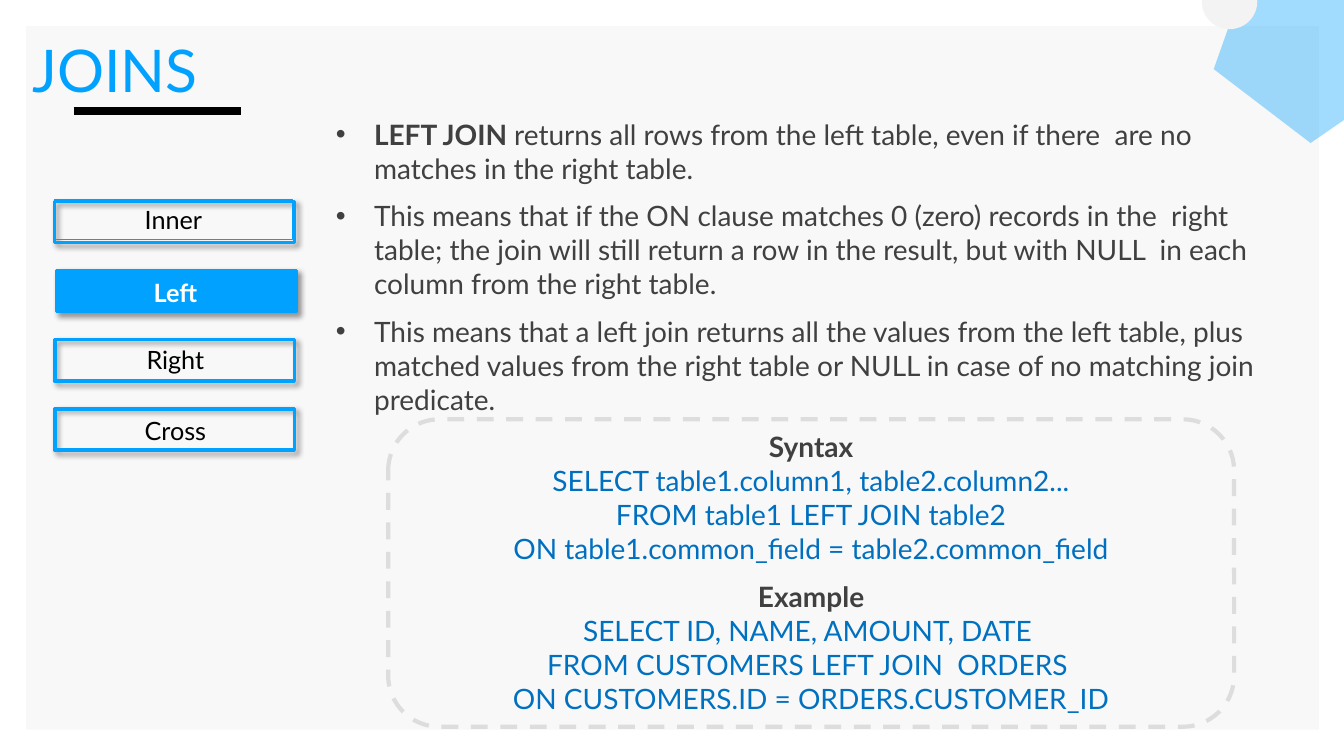
import pptx
import pptx.util
import pptx.dml.color
import pptx.enum.dml
import pptx.enum.shapes
import pptx.enum.text
import pptx.oxml
import pptx.oxml.ns
from lxml import etree
from dataclasses import dataclass

Inches = pptx.util.Inches
Pt = pptx.util.Pt
RGB = pptx.dml.color.RGBColor.from_string
SHAPE = pptx.enum.shapes.MSO_SHAPE
ALIGN = pptx.enum.text.PP_ALIGN
ANCHOR = pptx.enum.text.MSO_ANCHOR
qn = pptx.oxml.ns.qn


@dataclass(frozen=True)
class Theme:
    font: str = "Lato"
    accent: str = "00A1FF"
    panel: str = "F8F8F8"
    circle: str = "F3F3F3"
    body: str = "404040"
    syntax: str = "006FC0"
    example: str = "0070C0"
    dash: str = "DDDDDD"
    black: str = "000000"
    white: str = "FFFFFF"
    title_size: int = 42
    body_size: int = 20
    button_size: int = 18


theme = Theme()


def add_text(p, text, size=theme.body_size, color=theme.body, bold=False,
             align=ALIGN.LEFT, before=0, spacing=None, bullet=False):
    """Append a run to a paragraph and format both."""
    p.alignment = align
    p.space_before = Pt(before)
    if spacing:
        p.line_spacing = spacing
    if bullet:
        pPr = p._p.get_or_add_pPr()
        pPr.set("marL", str(Inches(0.39)))
        pPr.set("indent", str(Inches(-0.38)))
        clr = etree.SubElement(pPr, qn("a:buClr"))
        etree.SubElement(clr, qn("a:srgbClr"), val=color)
        etree.SubElement(pPr, qn("a:buFont"), typeface="Arial")
        etree.SubElement(pPr, qn("a:buChar"), char="•")
    r = p.add_run()
    r.text = text
    r.font.name = theme.font
    r.font.size = Pt(size)
    r.font.bold = bold
    r.font.color.rgb = RGB(color)


def add_box(kind, left, top, width, height, fill=None, line=None, weight=1):
    """Add a preset shape without shadow."""
    sp = slide.shapes.add_shape(kind, Inches(left), Inches(top), Inches(width), Inches(height))
    if fill:
        sp.fill.solid()
        sp.fill.fore_color.rgb = RGB(fill)
    else:
        sp.fill.background()
    if line:
        sp.line.color.rgb = RGB(line)
        sp.line.width = Pt(weight)
    else:
        sp.line.fill.background()
    sp.shadow.inherit = False
    return sp


prs = pptx.Presentation()
prs.slide_width = Inches(13.33)
prs.slide_height = Inches(7.5)
slide = prs.slides.add_slide(prs.slide_layouts[6])

# Background panel
add_box(SHAPE.RECTANGLE, 0.26, 0.26, 12.82, 6.98, fill=theme.panel)

# Title and body text boxes
frames = []
for left, top, width, height in ((0.32, 0.32, 13.01, 0.55), (3.32, 1.15, 9.45, 5.73)):
    sp = slide.shapes.add_textbox(Inches(left), Inches(top), Inches(width), Inches(height))
    tf = sp.text_frame
    tf.word_wrap = True
    tf.margin_left = tf.margin_right = tf.margin_bottom = 0
    tf.margin_top = Inches(0.01)
    frames.append(tf)
title, body = frames
add_text(title.paragraphs[0], "JOINS", size=theme.title_size, color=theme.accent)

# Title underline
rule = slide.shapes.add_connector(pptx.enum.shapes.MSO_CONNECTOR.STRAIGHT,
                                  Inches(0.73), Inches(1.1), Inches(2.39), Inches(1.1))
rule.line.color.rgb = RGB(theme.black)
rule.line.width = Pt(6)
etree.SubElement(rule._element.spPr, qn("a:effectLst"))

# Corner decoration
pentagon = add_box(SHAPE.REGULAR_PENTAGON, 11.99, -0.62, 1.96, 1.86, fill=theme.accent)
pentagon.rotation = 325.4
color = pentagon._element.spPr.find(".//" + qn("a:srgbClr"))
etree.SubElement(color, qn("a:alpha"), val="37000")
circle = add_box(SHAPE.OVAL, 11.92, -0.26, 0.55, 0.55, fill=theme.circle)
circle.rotation = 8.3

# Bullets: each is a bold lead and the rest
bullets = [
    ("LEFT JOIN ", "returns all rows from the left table, even if there  are no matches "
     "in the right table."),
    ("", "This means that if the ON clause matches 0 (zero) records in the  right table; "
     "the join will still return a row in the result, but with NULL  in each column "
     "from the right table."),
    ("", "This means that a left join returns all the values from the left table, plus "
     "matched values from the right table or NULL in case of no matching join predicate."),
]
for i, (lead, text) in enumerate(bullets):
    p = body.add_paragraph() if i else body.paragraphs[0]
    before = 9.8 if i else 0
    if lead:
        add_text(p, lead, bold=True)
    add_text(p, text, before=before, spacing=1.01, bullet=True)

# Syntax and example queries
queries = [
    ("Syntax", theme.syntax, [
        "SELECT table1.column1, table2.column2...",
        "FROM table1 LEFT JOIN table2",
        "ON table1.common_field = table2.common_field"]),
    ("Example", theme.example, [
        "SELECT ID, NAME, AMOUNT, DATE ",
        "FROM CUSTOMERS LEFT JOIN  ORDERS ",
        "ON CUSTOMERS.ID = ORDERS.CUSTOMER_ID"]),
]
for heading, color, lines in queries:
    add_text(body.add_paragraph(), heading, bold=True, align=ALIGN.CENTER,
             before=9.8, spacing=1.01)
    for text in lines:
        add_text(body.add_paragraph(), text, color=color, align=ALIGN.CENTER, spacing=1.01)

# Dashed frame around the queries
frame = add_box(SHAPE.ROUNDED_RECTANGLE, 3.85, 4.16, 8.39, 3.05, line=theme.dash, weight=3)
frame.line.dash_style = pptx.enum.dml.MSO_LINE.DASH

# Join buttons: a shadowed outline under a label box
buttons = [("Inner", 0.54, 1.98), ("Left", 0.56, 2.7), ("Right", 0.56, 3.37), ("Cross", 0.56, 4.07)]
for i, (name, left, top) in enumerate(buttons):
    active = name == "Left"
    fill = theme.accent if active else None
    outline = add_box(SHAPE.RECTANGLE, 0.56 if active else 0.54, 2 + 0.685 * i, 2.38, 0.41,
                      fill=fill, line=theme.accent, weight=2.25)
    effects = outline._element.spPr.find(qn("a:effectLst"))
    shadow = etree.SubElement(effects, qn("a:outerShdw"), blurRad=str(Pt(4)), dist=str(Pt(3)),
                              dir=str(45 * 60000), algn="tl", rotWithShape="0")
    tint = etree.SubElement(shadow, qn("a:srgbClr"), val=theme.black)
    etree.SubElement(tint, qn("a:alpha"), val="40000")

    label = add_box(SHAPE.RECTANGLE, left, top, 2.36, 0.4,
                    fill=fill, line=theme.accent, weight=0.75)
    tf = label.text_frame
    tf.vertical_anchor = ANCHOR.MIDDLE
    add_text(tf.paragraphs[0], name, size=theme.button_size, bold=active, align=ALIGN.CENTER,
             color=theme.white if active else theme.black)

prs.save("out.pptx")
